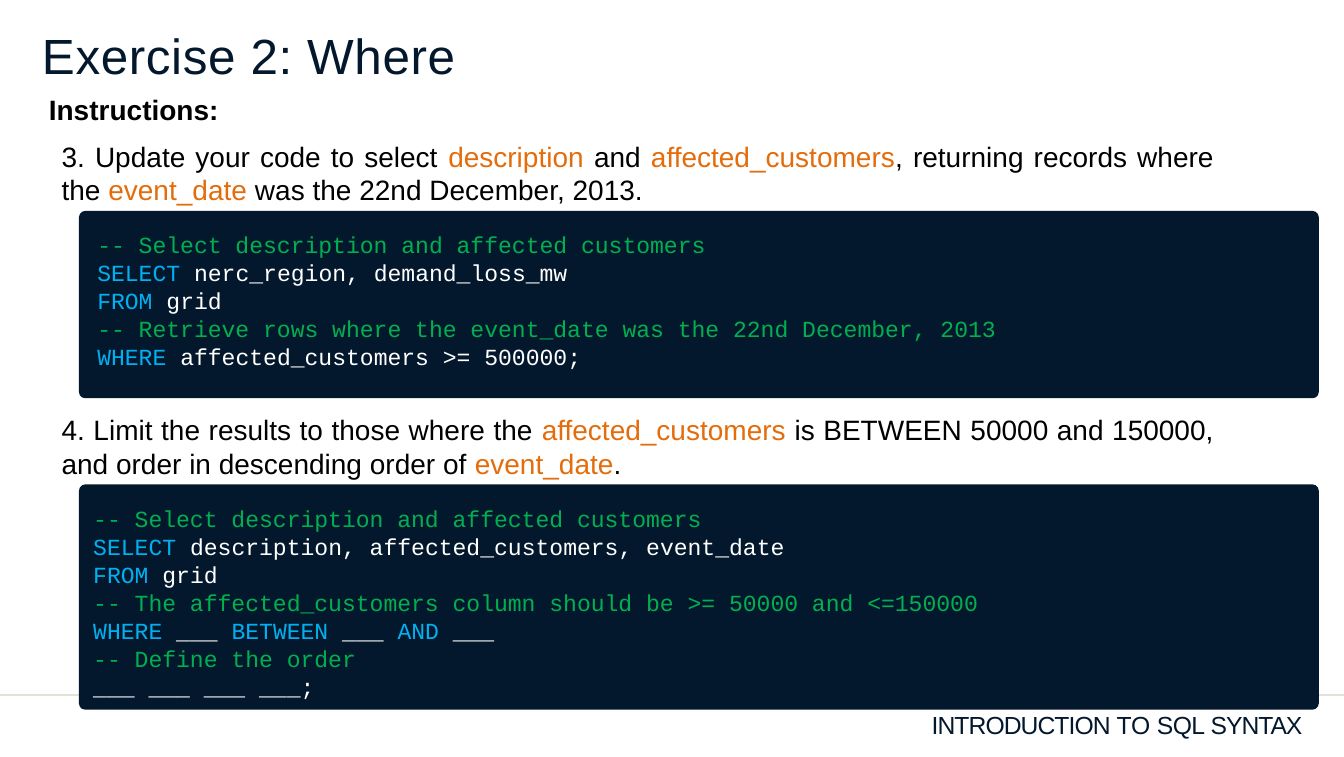
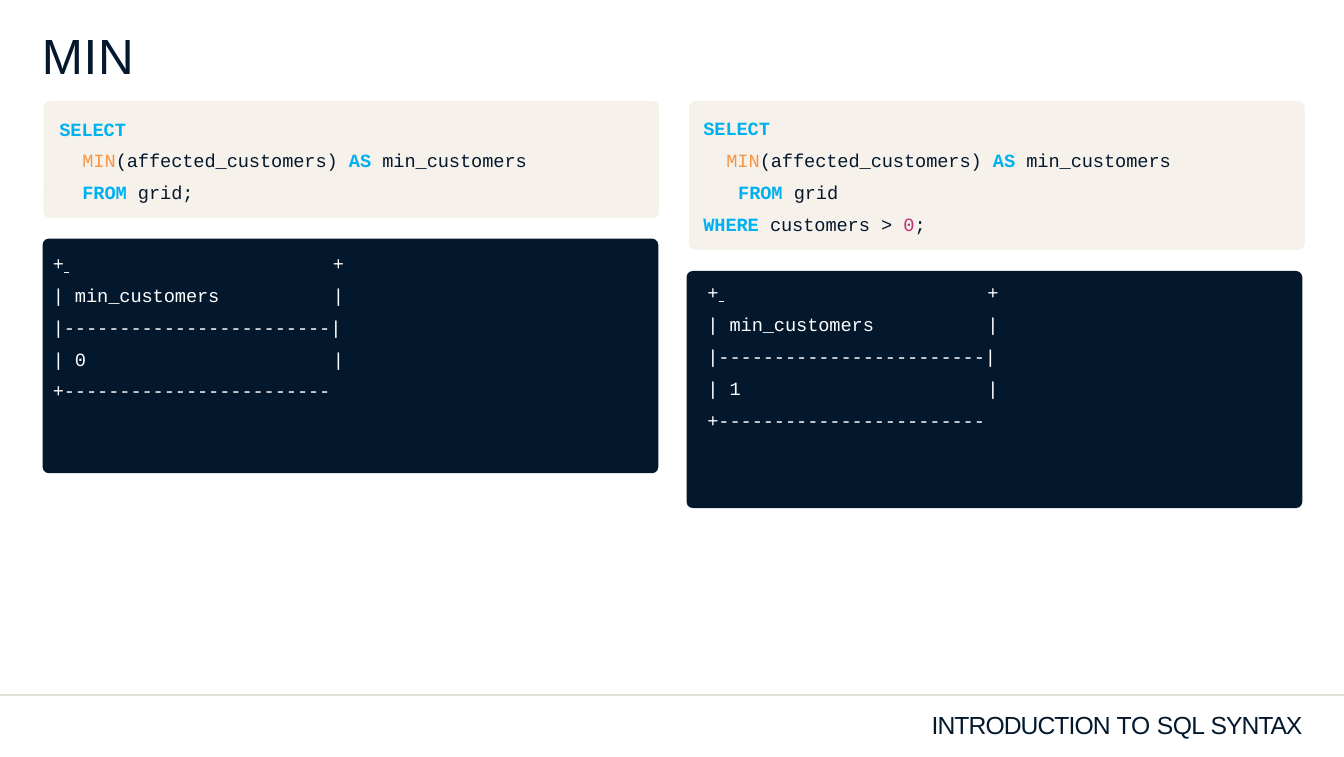
from dataclasses import dataclass, field

from lxml import etree
from pptx import Presentation
from pptx.dml.color import RGBColor
from pptx.enum.shapes import MSO_CONNECTOR, MSO_SHAPE
from pptx.enum.text import MSO_ANCHOR, PP_ALIGN
from pptx.oxml.ns import qn
from pptx.util import Cm, Pt

STRAIGHT = MSO_CONNECTOR.STRAIGHT
ROUNDED = MSO_SHAPE.ROUNDED_RECTANGLE
TOP = MSO_ANCHOR.TOP
LEFT, JUSTIFY = PP_ALIGN.LEFT, PP_ALIGN.JUSTIFY


@dataclass(frozen=True)
class Theme:
    navy: str = "04182D"
    cream: str = "F6F2EB"
    rule: str = "E4E1D9"
    black: str = "000000"
    white: str = "FFFFFF"
    orange: str = "E46C0A"
    function: str = "F79646"
    keyword: str = "00B0F0"
    comment: str = "00B050"
    number: str = "BE2F72"
    sans: str = "Arial"
    mono: str = "Courier New"
    title_size: float = 45
    body_size: float = 25.5
    footer_size: float = 22.5
    script_size: float = 21
    query_size: float = 17


THEME = Theme()
SLIDE_WIDTH, SLIDE_HEIGHT = 43.2, 24.33
RULE_TOP = 22.33
CORNER_RADIUS = 0.2
TAB_STOP = 9
INSTRUCTION_HEIGHT = 2.44
PANEL_WIDTH = 19.79
QUERY_TOP = 3.25

TITLE = {"name": THEME.sans, "size": THEME.title_size, "color": THEME.navy, "spacing": 0.6}
BODY = {"name": THEME.sans, "size": THEME.body_size, "color": THEME.black}
FOOTER = {"name": THEME.sans, "size": THEME.footer_size, "color": THEME.navy}
SCRIPT = {"name": THEME.mono, "size": THEME.script_size, "color": THEME.white}
QUERY = {"name": THEME.mono, "size": THEME.query_size, "color": THEME.navy, "spacing": -0.1}
RESULT = {**QUERY, "color": THEME.white}

HIGHLIGHT = {"color": THEME.orange}
COMMENT = {"color": THEME.comment}
KEYWORD = {"color": THEME.keyword}
BOLD_KEYWORD = {"color": THEME.keyword, "bold": True}
FUNCTION = {"color": THEME.function}
NUMBER = {"color": THEME.number}
UNDERLINED = {"name": THEME.sans, "underline": True}


@dataclass
class Line:
    """One paragraph: runs are plain strings or (string, font changes) pairs."""
    runs: list
    format: dict = field(default_factory=dict)
    indent: float = 0
    tab: float = 0


def set_attributes(target, values):
    for name, value in values.items():
        setattr(target, name, value)


def add_run(paragraph, text, style):
    run = paragraph.add_run()
    run.text = text
    values = dict(style)
    color = values.pop("color")
    spacing = values.pop("spacing", 0)
    values["size"] = Pt(values["size"])
    set_attributes(run.font, values)
    run.font.color.rgb = RGBColor.from_string(color)
    if spacing:
        run._r.get_or_add_rPr().set("spc", str(round(spacing * 100)))


def write_lines(text_frame, lines, style, insets=(0, 0), alignment=LEFT):
    """Fill a text frame; insets are left/right and top, in centimetres."""
    side, top = insets
    set_attributes(text_frame, {
        "word_wrap": True, "vertical_anchor": TOP,
        "margin_left": Cm(side), "margin_right": Cm(side),
        "margin_top": Cm(top), "margin_bottom": 0,
    })
    for index, line in enumerate(lines):
        paragraph = text_frame.paragraphs[0] if index == 0 else text_frame.add_paragraph()
        properties = paragraph._p.get_or_add_pPr()
        if line.indent:
            properties.set("marL", str(Cm(line.indent)))
        if line.tab:
            tabs = etree.SubElement(properties, qn("a:tabLst"))
            etree.SubElement(tabs, qn("a:tab"), pos=str(Cm(line.tab)), algn="l")
        set_attributes(paragraph, {"alignment": alignment, **line.format})
        for run in line.runs:
            text, changes = (run, {}) if isinstance(run, str) else run
            add_run(paragraph, text, {**style, **changes})


def add_text(slide, box, lines, style, **layout):
    shape = slide.shapes.add_textbox(*map(Cm, box))
    write_lines(shape.text_frame, lines, style, **layout)


def add_panel(slide, box, fill, lines, style, insets):
    shape = slide.shapes.add_shape(ROUNDED, *map(Cm, box))
    shape.adjustments[0] = CORNER_RADIUS / box[3]
    shape.shadow.inherit = False
    shape.fill.solid()
    shape.fill.fore_color.rgb = RGBColor.from_string(fill)
    shape.line.fill.background()
    write_lines(shape.text_frame, lines, style, insets)


def add_rule(slide):
    rule = slide.shapes.add_connector(
        STRAIGHT, 0, Cm(RULE_TOP), Cm(SLIDE_WIDTH), Cm(RULE_TOP))
    rule.line.color.rgb = RGBColor.from_string(THEME.rule)
    rule.line.width = Pt(1.5)
    etree.SubElement(rule._element.spPr, qn("a:effectLst"))


def add_base_slide(presentation, title):
    """Add a blank slide with the shared rule, title and footer."""
    slide = presentation.slides.add_slide(presentation.slide_layouts[6])
    add_rule(slide)
    add_text(slide, (1.32, 0.76, 22.96, 1.96), [Line([title])], TITLE, insets=(0.03, 0.05))
    footer = [("INTRODUCTION", {"spacing": -0.9}), (" TO ", {"spacing": -0.3}),
              ("SQL ", {"spacing": -0.5}), ("SYNTAX", {"spacing": -1})]
    add_text(slide, (29.92, 22.81, 12.42, 0.97), [Line(footer)], FOOTER, insets=(0.03, 0))
    return slide


def add_exercise_step(slide, top, instruction, script, height, side_inset):
    """Add a justified instruction with its dark code panel directly below."""
    add_text(slide, (1.73, top, 37.54, INSTRUCTION_HEIGHT), [Line(instruction)], BODY,
             insets=(0.25, 0.13), alignment=JUSTIFY)
    lines = [Line(runs, {"space_before": Pt(0.3 if index else 0)})
             for index, runs in enumerate(script)]
    add_panel(slide, (2.54, top + INSTRUCTION_HEIGHT, 39.85, height), THEME.navy,
              lines, SCRIPT, (side_inset, 0.58))


def query_lines(from_indent, table, condition=None):
    wide = {"line_spacing": 1.42}
    lines = [
        Line([("SELECT", BOLD_KEYWORD)]),
        Line([("MIN", FUNCTION), "(affected_customers) ", ("AS ", BOLD_KEYWORD),
              "min_customers"], wide, 0.74),
        Line([("FROM ", BOLD_KEYWORD), table], wide, from_indent),
    ]
    if condition:
        lines.append(Line([("WHERE ", BOLD_KEYWORD), *condition], {"space_before": Pt(8.7)}))
    return lines


def result_lines(value):
    dashes = "-" * 24
    rows = [["+", (" \t", UNDERLINED), "+"], ["| min_customers\t|"],
            [f"|{dashes}|"], [f"| {value}\t|"], [f"+{dashes}"]]
    return [Line(runs, {"space_before": Pt(8.6 if index else 0)}, tab=TAB_STOP)
            for index, runs in enumerate(rows)]


def build_where_slide(presentation):
    slide = add_base_slide(presentation, "Exercise 2: Where")
    add_text(slide, (1.32, 2.84, 37.54, 1.35), [Line([("Instructions:", {"bold": True})])],
             BODY, insets=(0.25, 0.13), alignment=JUSTIFY)
    select_comment = [("-- Select description and affected customers", COMMENT)]
    from_grid = [("FROM ", KEYWORD), "grid"]
    add_exercise_step(
        slide, 4.34,
        ["3. Update your code to select ", ("description", HIGHLIGHT), " and ",
         ("affected_customers", HIGHLIGHT), ", returning records where the ",
         ("event_date ", HIGHLIGHT), "was the 22nd December, 2013."],
        [select_comment,
         [("SELECT ", KEYWORD), "nerc_region, demand_loss_mw"],
         from_grid,
         [("-- Retrieve rows where the event_date was the 22nd December, 2013", COMMENT)],
         [("WHERE", KEYWORD), " affected_customers >= 500000;"]],
        height=6.02, side_inset=0.53)
    add_exercise_step(
        slide, 13.13,
        ["4. Limit the results to those where the ", ("affected_customers ", HIGHLIGHT),
         "is BETWEEN 50000 and 150000, and order in descending order of ",
         ("event_date", HIGHLIGHT), "."],
        [select_comment,
         [("SELECT ", KEYWORD), "description, affected_customers, event_date"],
         from_grid,
         [("-- The affected_customers column should be >= 50000 and <=150000", COMMENT)],
         [("WHERE", KEYWORD), " ___ ", ("BETWEEN", KEYWORD), " ___ ", ("AND ", KEYWORD), "___"],
         [("-- Define the order", COMMENT)],
         ["___ ___ ___ ___;"]],
        height=7.24, side_inset=0.4)


def build_min_slide(presentation):
    slide = add_base_slide(presentation, "MIN")
    add_panel(slide, (1.4, QUERY_TOP, PANEL_WIDTH, 3.76), THEME.cream,
              query_lines(0.74, "grid;"), QUERY, (0.45, 0.47))
    add_panel(slide, (1.37, 7.67, PANEL_WIDTH, 7.54), THEME.navy,
              result_lines(0), RESULT, (0.27, 0.37))
    add_panel(slide, (22.15, QUERY_TOP, PANEL_WIDTH, 4.78), THEME.cream,
              query_lines(1.12, "grid", ["customers > ", ("0", NUMBER), ";"]),
              QUERY, (0.4, 0.45))
    add_panel(slide, (22.07, 8.71, PANEL_WIDTH, 7.62), THEME.navy,
              result_lines(1), RESULT, (0.61, 0.27))


def main():
    presentation = Presentation()
    presentation.slide_width = Cm(SLIDE_WIDTH)
    presentation.slide_height = Cm(SLIDE_HEIGHT)
    build_where_slide(presentation)
    build_min_slide(presentation)
    presentation.save("out.pptx")


if __name__ == "__main__":
    main()
